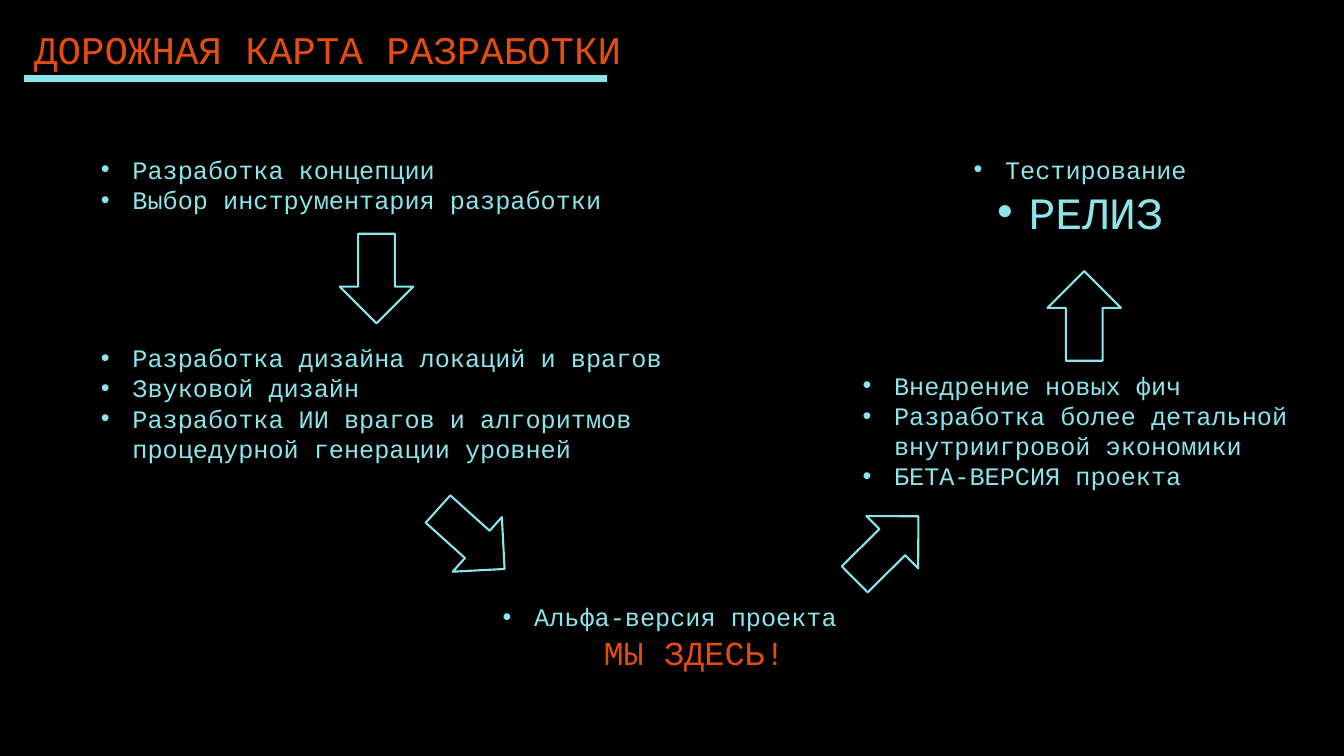
from dataclasses import dataclass

from lxml.etree import SubElement
from pptx import Presentation
from pptx.dml.color import RGBColor
from pptx.enum.shapes import MSO_CONNECTOR, MSO_SHAPE
from pptx.enum.text import MSO_AUTO_SIZE, PP_ALIGN
from pptx.oxml.ns import qn
from pptx.slide import Slide
from pptx.util import Pt

CYAN = "8BE5EA"
ORANGE = "E34D10"
BLACK = "000000"
FONT = "Courier New"
BULLET_INDENT = 22.5
ARROW_WIDTH = 52.5
ARROW_HEIGHT = 64


@dataclass(frozen=True)
class Line:
    text: str
    size: float = 18
    color: str = CYAN
    bullet: bool = True
    indent: float = BULLET_INDENT


@dataclass(frozen=True)
class Stage:
    left: float
    top: float
    width: float
    height: float
    lines: tuple[Line, ...]
    alignment: PP_ALIGN = PP_ALIGN.LEFT


@dataclass(frozen=True)
class Arrow:
    left: float
    top: float
    rotation: float = 0


TITLE = Stage(17.3, 14.4, 480, 41, (
    Line("ДОРОЖНАЯ КАРТА РАЗРАБОТКИ", size=28, color=ORANGE, bullet=False, indent=0),
))

STAGES = (
    Stage(65, 106.5, 480, 51, (
        Line("Разработка концепции"),
        Line("Выбор инструментария разработки"),
    )),
    Stage(65, 241, 480, 116.5, (
        Line("Разработка дизайна локаций и врагов"),
        Line("Звуковой дизайн"),
        Line("Разработка ИИ врагов и алгоритмов процедурной генерации уровней"),
    )),
    Stage(352, 426, 480, 58, (
        Line("Альфа-версия проекта"),
        Line("МЫ ЗДЕСЬ!", size=24, color=ORANGE, bullet=False, indent=72),
    )),
    Stage(609, 260.8, 345, 116.5, (
        Line("Внедрение новых фич"),
        Line("Разработка более детальной внутриигровой экономики"),
        Line("БЕТА-ВЕРСИЯ проекта"),
    )),
    Stage(687.5, 106.5, 168, 68, (
        Line("Тестирование"),
        Line("РЕЛИЗ", size=32),
    ), PP_ALIGN.CENTER),
)

ARROWS = (
    Arrow(242.7, 167),
    Arrow(310.4, 353, 312),
    Arrow(607, 359.3, 225.3),
    Arrow(748.2, 193.7, 180),
)


def rgb(color: str) -> RGBColor:
    return RGBColor.from_string(color)


def add_text(paragraph, text: str, *, size: float, color: str,
             alignment: PP_ALIGN, bullet: bool, indent: float) -> None:
    paragraph.alignment = alignment
    run = paragraph.add_run()
    run.text = text
    run.font.name = FONT
    run.font.size = Pt(size)
    run.font.color.rgb = rgb(color)
    properties = paragraph._p.get_or_add_pPr()
    properties.set("marL", str(Pt(indent)))
    if bullet:
        properties.set("indent", str(-Pt(indent)))
        SubElement(properties, qn("a:buFont")).set("typeface", "Arial")
        SubElement(properties, qn("a:buChar")).set("char", "•")


def add_stage(slide: Slide, stage: Stage) -> None:
    shape = slide.shapes.add_textbox(
        Pt(stage.left), Pt(stage.top), Pt(stage.width), Pt(stage.height))
    frame = shape.text_frame
    frame.word_wrap = True
    frame.auto_size = MSO_AUTO_SIZE.SHAPE_TO_FIT_TEXT
    for index, line in enumerate(stage.lines):
        paragraph = frame.add_paragraph() if index else frame.paragraphs[0]
        add_text(paragraph, line.text, size=line.size, color=line.color,
                 alignment=stage.alignment, bullet=line.bullet, indent=line.indent)


def add_arrow(slide: Slide, arrow: Arrow) -> None:
    shape = slide.shapes.add_shape(
        MSO_SHAPE.DOWN_ARROW, Pt(arrow.left), Pt(arrow.top),
        Pt(ARROW_WIDTH), Pt(ARROW_HEIGHT))
    shape.rotation = arrow.rotation
    shape.shadow.inherit = False
    shape.fill.background()
    shape.line.color.rgb = rgb(CYAN)
    shape.line.width = Pt(1.5)


def add_underline(slide: Slide, left: float, right: float, top: float) -> None:
    connector = slide.shapes.add_connector(
        MSO_CONNECTOR.STRAIGHT, Pt(left), Pt(top), Pt(right), Pt(top))
    connector.line.color.rgb = rgb(CYAN)
    connector.line.width = Pt(4.5)
    SubElement(connector._element.spPr, qn("a:effectLst"))


def main() -> None:
    presentation = Presentation()
    presentation.slide_width = Pt(960)
    presentation.slide_height = Pt(540)
    slide = presentation.slides.add_slide(presentation.slide_layouts[6])
    background = slide.background.fill
    background.solid()
    background.fore_color.rgb = rgb(BLACK)

    add_stage(slide, TITLE)
    add_underline(slide, left=17.3, right=433.5, top=56)
    for stage in STAGES:
        add_stage(slide, stage)
    for arrow in ARROWS:
        add_arrow(slide, arrow)

    presentation.save("out.pptx")


if __name__ == "__main__":
    main()
